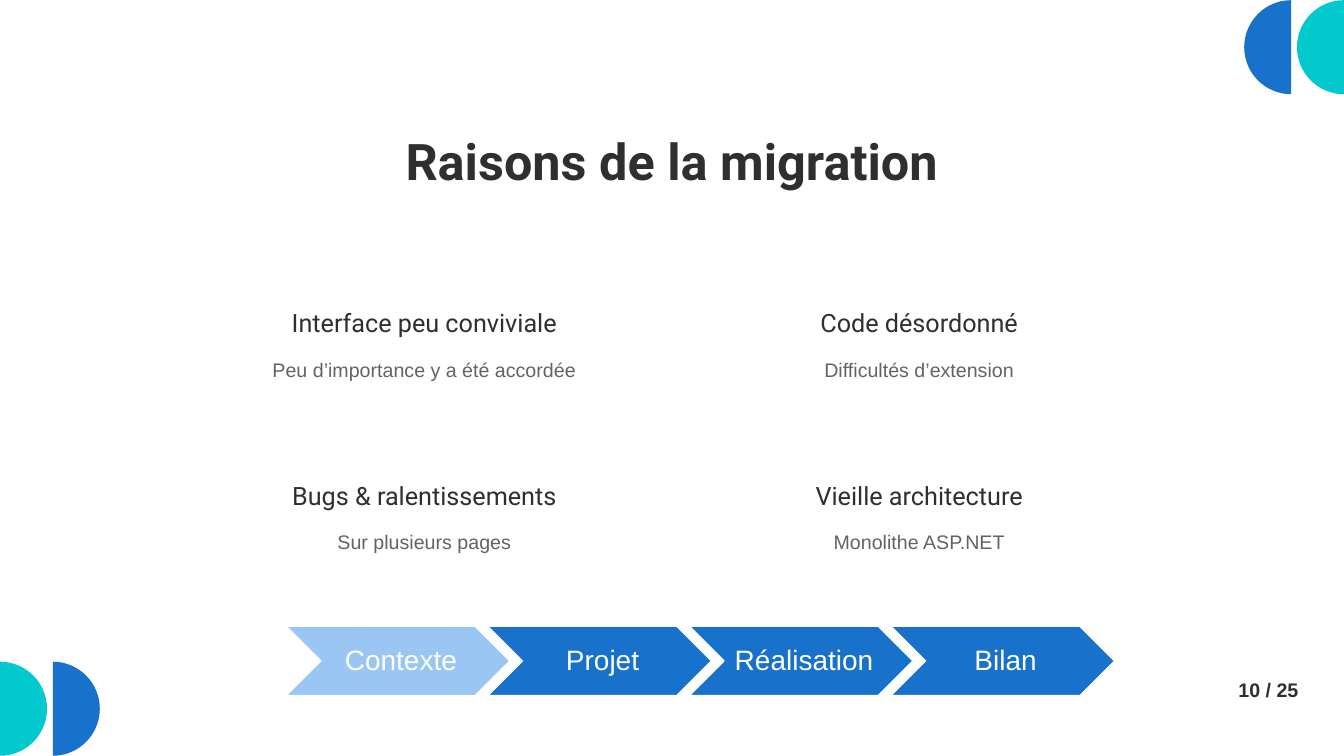
from lxml import etree
from pptx import Presentation
from pptx.dml.color import RGBColor
from pptx.enum.shapes import MSO_SHAPE
from pptx.enum.text import MSO_ANCHOR, MSO_AUTO_SIZE, PP_ALIGN
from pptx.oxml.ns import qn
from pptx.util import Cm, Pt

CHEVRON = MSO_SHAPE.CHEVRON
TOP, MIDDLE, BOTTOM = MSO_ANCHOR.TOP, MSO_ANCHOR.MIDDLE, MSO_ANCHOR.BOTTOM
NO_FIT, GROW = MSO_AUTO_SIZE.NONE, MSO_AUTO_SIZE.SHAPE_TO_FIT_TEXT
LEFT, CENTER = PP_ALIGN.LEFT, PP_ALIGN.CENTER

INK, GREY, WHITE = "2F2F2F", "636363", "FFFFFF"
BLUE, TURQUOISE, PALE_BLUE = "1871CA", "02C9CE", "99C6F3"

REASONS = [
    ("Interface peu conviviale", "Peu d’importance y a été accordée"),
    ("Code désordonné", "Difficultés d’extension"),
    ("Bugs & ralentissements", "Sur plusieurs pages"),
    ("Vieille architecture", "Monolithe ASP.NET"),
]
STEPS = ["Contexte", "Projet", "Réalisation", "Bilan"]
CURRENT_STEP = "Contexte"


def paint(color_format, hex_color):
    color_format.rgb = RGBColor.from_string(hex_color)


def fill_solid(shape, hex_color):
    shape.shadow.inherit = False
    shape.fill.solid()
    paint(shape.fill.fore_color, hex_color)


def place(shape, left, top, width, height):
    shape.left, shape.top = Cm(left), Cm(top)
    shape.width, shape.height = Cm(width), Cm(height)


def set_margins(frame, left, others):
    frame.margin_left = Cm(left)
    frame.margin_top = frame.margin_right = frame.margin_bottom = Cm(others)


def write(frame, text, size, font, color, bold=False, align=CENTER, spacing=None):
    frame.text = text
    paragraph = frame.paragraphs[0]
    paragraph.alignment = align
    paragraph.line_spacing = spacing
    paragraph.space_before = Pt(0)
    paragraph.font.size = Pt(size)
    paragraph.font.name = font
    paragraph.font.bold = bold
    paint(paragraph.font.color, color)
    return paragraph


def fill_block(block, box, anchor, text, size, font, color, bold=False, spacing=None):
    place(block, *box)
    frame = block.text_frame
    frame.word_wrap = True
    frame.auto_size = NO_FIT
    frame.vertical_anchor = anchor
    set_margins(frame, 0, 0)
    return write(frame, text, size, font, color, bold, spacing=spacing)


def remove_bullet(paragraph):
    properties = paragraph._p.get_or_add_pPr()
    properties.set("marL", "0")
    properties.set("indent", "0")
    bullet_none = etree.Element(qn("a:buNone"))
    properties.find(qn("a:defRPr")).addprevious(bullet_none)


def bend(line, start, corner, end):
    handles = [
        [point[axis] + 0.5523 * (corner[axis] - point[axis]) for axis in (0, 1)]
        for point in (start, end)
    ]
    line.tag = qn("a:cubicBezTo")
    for child in list(line):
        line.remove(child)
    for x, y in (*handles, end):
        etree.SubElement(line, qn("a:pt"), x=str(round(x)), y=str(round(y)))


def add_half_disc(slide, flat_x, center_y, direction, color):
    radius = 1.185
    flat, rim = Cm(flat_x), Cm(flat_x + direction * radius)
    top, middle, bottom = (Cm(center_y + k * radius) for k in (-1, 0, 1))
    builder = slide.shapes.build_freeform(flat, top)
    builder.add_line_segments([(flat, bottom), (rim, middle), (flat, top)], close=True)
    half_disc = builder.convert_to_shape()
    fill_solid(half_disc, color)
    half_disc.line.fill.background()

    flat_in, rim_in = flat - min(flat, rim), rim - min(flat, rim)
    lower, upper = list(half_disc._element.iter(qn("a:lnTo")))[1:]
    rim_point = (rim_in, middle - top)
    bend(lower, (flat_in, bottom - top), (rim_in, bottom - top), rim_point)
    bend(upper, rim_point, (rim_in, 0), (flat_in, 0))


def add_reason(slide, index, placeholder):
    row, column = divmod(index, 2)
    left, top, width = 5.74 + 12.47 * column, 6.83 + 4.35 * row, 9.91
    heading, detail = REASONS[index]
    heading_text = fill_block(
        placeholder, (left, top, width, 1.68), BOTTOM, heading, 18, "Roboto", INK)
    remove_bullet(heading_text)
    detail_box = slide.shapes.add_textbox(0, 0, 0, 0)
    fill_block(detail_box, (left, top + 2.06, width, 2.18), TOP,
               detail, 14, "Arial", GREY, spacing=1.2)


def add_step(slide, index, label):
    step = slide.shapes.add_shape(
        CHEVRON, Cm(7.21 + 5.08 * index), Cm(15.78), Cm(5.64), Cm(1.75))
    fill_solid(step, PALE_BLUE if label == CURRENT_STEP else BLUE)
    paint(step.line.color, WHITE)
    step.line.width = Pt(1)
    step.text_frame.vertical_anchor = MIDDLE
    set_margins(step.text_frame, 0.23, 0.08)
    write(step.text_frame, label, 20, "Arial", WHITE, spacing=0.9)


def add_page_number(slide, text):
    page = slide.shapes.add_textbox(Cm(30.96), Cm(16.97), Cm(2.03), Cm(0.86))
    page.text_frame.word_wrap = False
    page.text_frame.auto_size = GROW
    write(page.text_frame, text, 14, "Arial", INK, bold=True, align=LEFT)


def main():
    deck = Presentation()
    deck.slide_width, deck.slide_height = Cm(33.87), Cm(19.05)
    slide = deck.slides.add_slide(deck.slide_layouts.get_by_name("Comparison"))
    title, *headings = list(slide.placeholders)[:5]

    add_half_disc(slide, 32.54, 1.19, -1, BLUE)
    add_half_disc(slide, 33.87, 1.19, -1, TURQUOISE)
    add_half_disc(slide, 0, 17.86, 1, TURQUOISE)
    add_half_disc(slide, 1.33, 17.86, 1, BLUE)

    fill_block(title, (2.34, 2.46, 29.18, 3.15), MIDDLE,
               "Raisons de la migration", 36, "Roboto", INK, bold=True)
    for index, placeholder in enumerate(headings):
        add_reason(slide, index, placeholder)
    for index, label in enumerate(STEPS):
        add_step(slide, index, label)
    add_page_number(slide, "10 / 25")
    deck.save("out.pptx")


if __name__ == "__main__":
    main()
